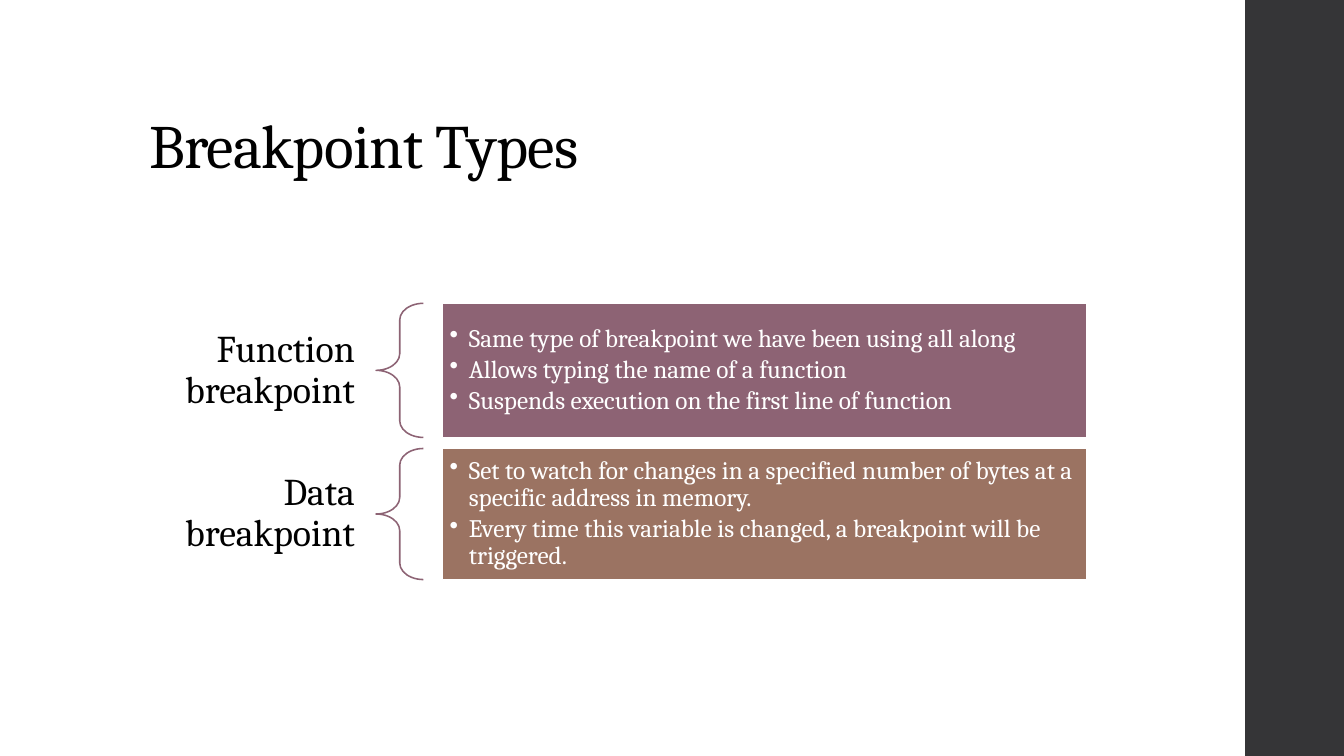
from lxml import etree
from pptx import Presentation
from pptx.dml.color import RGBColor
from pptx.enum.shapes import MSO_SHAPE
from pptx.enum.text import MSO_ANCHOR, PP_ALIGN
from pptx.oxml.ns import qn
from pptx.util import Inches, Pt

RECTANGLE, LEFT_BRACE = MSO_SHAPE.RECTANGLE, MSO_SHAPE.LEFT_BRACE
MIDDLE, BOTTOM = MSO_ANCHOR.MIDDLE, MSO_ANCHOR.BOTTOM
LEFT, RIGHT = PP_ALIGN.LEFT, PP_ALIGN.RIGHT

TITLE = "Breakpoint Types"
BREAKPOINTS = [
    ("Function breakpoint", "8D6374", 1.33, [
        "Same type of breakpoint we have been using all along",
        "Allows typing the name of a function",
        "Suspends execution on the first line of function",
    ]),
    ("Data breakpoint", "9B7362", 1.3, [
        "Set to watch for changes in a specified number of bytes at a "
        "specific address in memory.",
        "Every time this variable is changed, a breakpoint will be triggered.",
    ]),
]

FONT = "Cambria"
BLACK, WHITE, SIDEBAR, BRACE = "000000", "FFFFFF", "353537", "8D6374"
SLIDE_WIDTH, SLIDE_HEIGHT = 13.33, 7.5
MARGIN, LABEL_WIDTH, BRACE_WIDTH, PANEL_GAP, PANEL_WIDTH = 1.38, 2.35, 0.47, 0.19, 6.39
LABEL_HEIGHT, FIRST_ROW, ROW_GAP = 0.97, 3.01, 0.11
BRACE_LEFT = MARGIN + LABEL_WIDTH
PANEL_LEFT = BRACE_LEFT + BRACE_WIDTH + PANEL_GAP


def color(value):
    return RGBColor.from_string(value)


def add_shape(page, kind, area, fill=None, line=None):
    shape = page.shapes.add_shape(kind, *map(Inches, area))
    shape.shadow.inherit = False
    if fill:
        shape.fill.solid()
        shape.fill.fore_color.rgb = color(fill)
    else:
        shape.fill.background()
    if line:
        shape.line.color.rgb = color(line)
        shape.line.width = Pt(1.1)
    else:
        shape.line.fill.background()
    return shape


def add_box(page, area):
    return page.shapes.add_textbox(*map(Inches, area))


def write(box, lines, size, ink, anchor=MIDDLE, align=LEFT, side=0.07, edge=0.07,
          bullet=False, tracking=0):
    frame = box.text_frame
    frame.word_wrap = True
    frame.vertical_anchor = anchor
    frame.margin_left = frame.margin_right = Inches(side)
    frame.margin_top = frame.margin_bottom = Inches(edge)
    for index, line in enumerate(lines):
        para = frame.add_paragraph() if index else frame.paragraphs[0]
        para.alignment = align
        para.line_spacing = 0.9
        span = para.add_run()
        span.text = line
        span.font.name = FONT
        span.font.size = Pt(size)
        span.font.color.rgb = color(ink)
        if tracking:
            span.font._element.set("spc", str(round(tracking * 100)))
        if bullet:
            para.level = 1
            para.space_after = Pt(size * 0.15)
            properties = para._p.get_or_add_pPr()
            properties.set("marL", str(Inches(0.19)))
            properties.set("indent", str(Inches(-0.19)))
            etree.SubElement(properties, qn("a:buChar")).set("char", "•")


def main():
    deck = Presentation()
    deck.slide_width, deck.slide_height = Inches(SLIDE_WIDTH), Inches(SLIDE_HEIGHT)
    page = deck.slides.add_slide(deck.slide_layouts[6])

    add_shape(page, RECTANGLE, (12.35, 0, SLIDE_WIDTH - 12.35, SLIDE_HEIGHT), fill=SIDEBAR)
    title = add_box(page, (MARGIN, 0.4, 10.6, 1.45))
    write(title, [TITLE], 44, BLACK, anchor=BOTTOM, side=0.1, edge=0.05, tracking=-0.5)

    top = FIRST_ROW
    for name, fill, height, points in BREAKPOINTS:
        label_top = top + (height - LABEL_HEIGHT) / 2
        label = add_box(page, (MARGIN, label_top, LABEL_WIDTH, LABEL_HEIGHT))
        write(label, [name], 27, BLACK, align=RIGHT, side=0.21)

        brace = add_shape(page, LEFT_BRACE, (BRACE_LEFT, top, BRACE_WIDTH, height), line=BRACE)
        brace.adjustments[0], brace.adjustments[1] = 0.35, 0.5

        panel = add_shape(page, RECTANGLE, (PANEL_LEFT, top, PANEL_WIDTH, height), fill, WHITE)
        write(panel, points, 18, WHITE, bullet=True)
        top += height + ROW_GAP

    deck.save("out.pptx")


if __name__ == "__main__":
    main()
